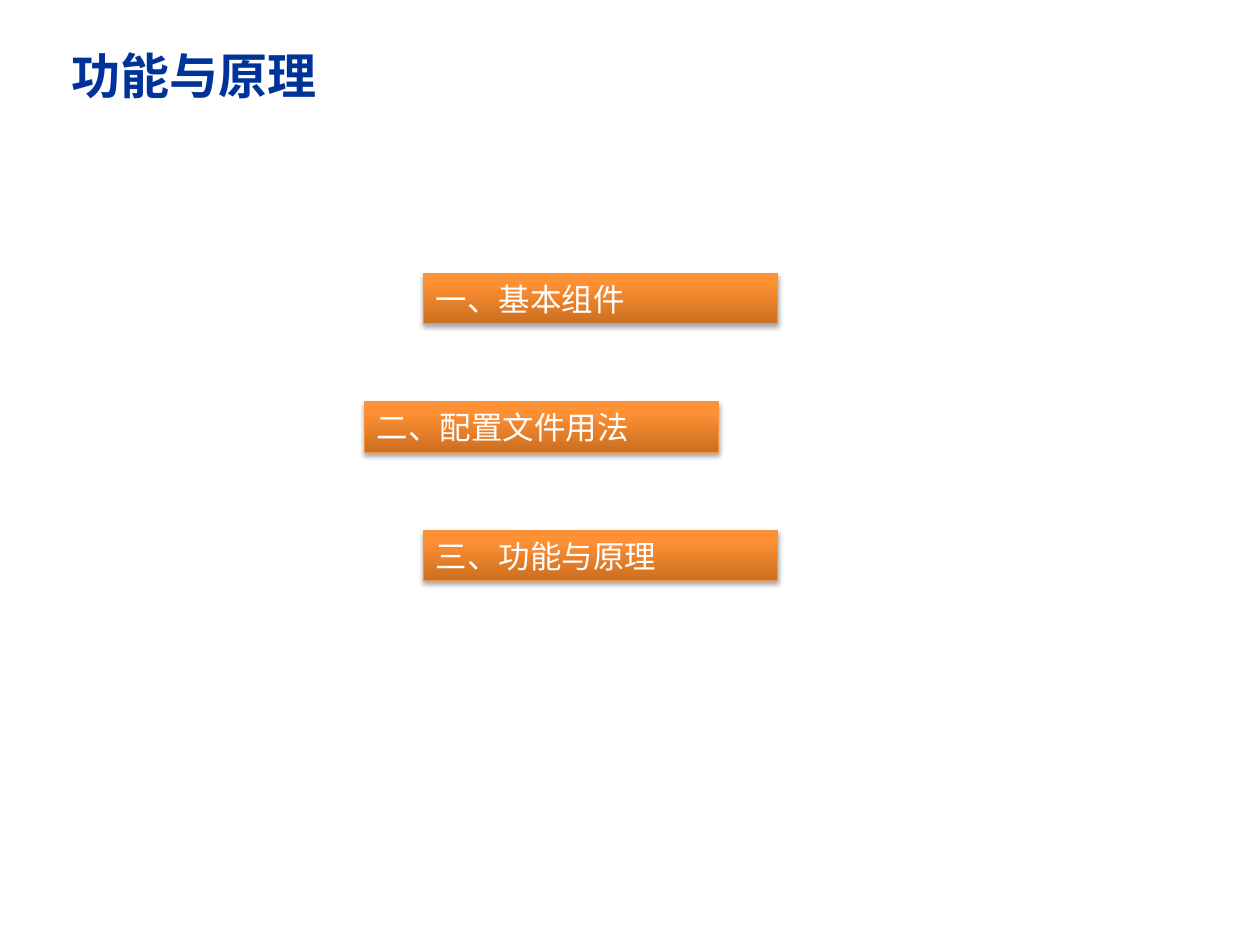
from copy import deepcopy

from lxml.etree import SubElement
from pptx import Presentation
from pptx.dml.color import RGBColor
from pptx.enum.shapes import MSO_SHAPE
from pptx.enum.text import MSO_ANCHOR, MSO_AUTO_SIZE, PP_ALIGN
from pptx.oxml.ns import qn
from pptx.util import Inches, Pt

TITLE = "功能与原理"
SECTIONS = ["一、基本组件", "二、配置文件用法", "三、功能与原理"]

FONT = "Noto Sans CJK SC"
TITLE_FORMAT = {"size": Pt(28), "bold": True, "name": FONT}
BAR_FORMAT = {"size": Pt(18), "bold": False, "name": FONT}
BAR_STOPS = [(0, "CC6E20"), (0.8, "FF9034"), (1, "FF9136")]
BAR_LEFTS = [3.36, 2.89]  # bars alternate between two left edges
BAR_TOP, BAR_STEP = 2.17, 1.02
BAR_W, BAR_H = 2.81, 0.4


def rgb(value):
    return RGBColor.from_string(value)


def set_text(shape, text, color, font_format, wrap):
    tf = shape.text_frame
    tf.word_wrap = wrap
    tf.auto_size = MSO_AUTO_SIZE.SHAPE_TO_FIT_TEXT
    tf.vertical_anchor = MSO_ANCHOR.TOP
    p = tf.paragraphs[0]
    p.alignment = PP_ALIGN.LEFT
    r = p.add_run()
    r.text = text
    r.font.color.rgb = rgb(color)
    for name, value in font_format.items():
        setattr(r.font, name, value)
    # East Asian text takes its typeface from a:ea
    SubElement(r.font._element, qn("a:ea"), typeface=FONT)


def set_gradient(shape, stops):
    """Fill with a linear gradient that runs from bottom to top."""
    fill = shape.fill
    fill.gradient()
    fill.gradient_angle = 90
    gs_list = shape._element.spPr.find(".//" + qn("a:gsLst"))
    while len(gs_list) < len(stops):
        gs_list.append(deepcopy(gs_list[-1]))
    for stop, (position, color) in zip(fill.gradient_stops, stops):
        stop.position = position
        stop.color.rgb = rgb(color)


def set_shadow(shape):
    shape.shadow.inherit = False
    effects = shape._element.spPr.find(qn("a:effectLst"))
    shadow = SubElement(effects, qn("a:outerShdw"), blurRad=str(Pt(3.1)),
                        dist=str(Pt(1.8)), dir="5400000", rotWithShape="0")
    color = SubElement(shadow, qn("a:srgbClr"), val="000000")
    SubElement(color, qn("a:alpha"), val="35000")


def add_bar(slide, text, left, top):
    sp = slide.shapes.add_shape(MSO_SHAPE.RECTANGLE, Inches(left), Inches(top),
                                Inches(BAR_W), Inches(BAR_H))
    set_gradient(sp, BAR_STOPS)
    sp.line.color.rgb = rgb("F69240")
    sp.line.width = Pt(0.75)
    set_shadow(sp)
    set_text(sp, text, "FFFFFF", BAR_FORMAT, True)


def main():
    prs = Presentation()
    prs.slide_width, prs.slide_height = Inches(10), Inches(7.5)
    s = prs.slides.add_slide(prs.slide_layouts[5])

    title = s.shapes.title
    title.left, title.top = Inches(0.47), Inches(0.31)
    title.width, title.height = Inches(2.17), Inches(0.57)
    set_text(title, TITLE, "003399", TITLE_FORMAT, False)

    for i, text in enumerate(SECTIONS):
        add_bar(s, text, BAR_LEFTS[i % 2], BAR_TOP + i * BAR_STEP)

    prs.save("out.pptx")


if __name__ == "__main__":
    main()
